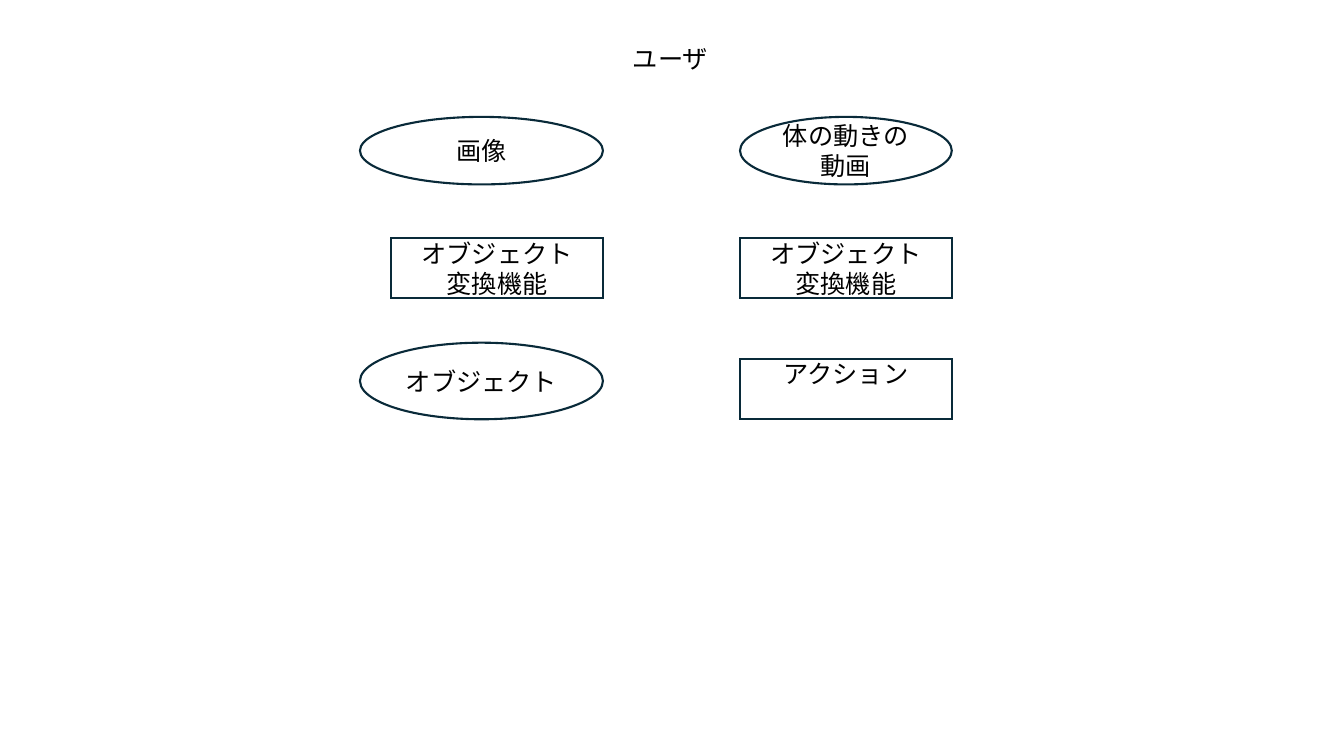
"""Build a slide of a user's image and motion video being converted into an object and an action."""
from lxml import etree
from pptx import Presentation, util as u
from pptx.dml.color import RGBColor
from pptx.enum import shapes, text
from pptx.oxml.ns import qn

BLACK = RGBColor(0x00, 0x00, 0x00)
WHITE = RGBColor(0xFF, 0xFF, 0xFF)
NAVY = RGBColor(0x09, 0x2A, 0x39)
FONT = "Noto Sans CJK JP"

OVAL = shapes.MSO_SHAPE.OVAL
RECT = shapes.MSO_SHAPE.RECTANGLE
MIDDLE = text.MSO_ANCHOR.MIDDLE
TOP = text.MSO_ANCHOR.TOP

LEFT_END, RIGHT_START = 5.98, 7.34
WIDE, NARROW = 2.41, 2.1
ROW_TOP, ROW_STEP = 1.16, 1.2
BOX_H, OVAL_H, OBJECT_H = 0.6, 0.67, 0.76
rows = [ROW_TOP + i * ROW_STEP for i in range(3)]
bottom = rows[2] + BOX_H


def write(tf, lines, align):
    for i, line in enumerate(lines):
        p = tf.paragraphs[0] if i == 0 else tf.add_paragraph()
        p.alignment = align
        r = p.add_run()
        r.text = line
        r.font.size = u.Pt(18)
        r.font.name = FONT
        r.font.color.rgb = BLACK
        etree.SubElement(r.font._element, qn("a:ea"), typeface=FONT)


prs = Presentation()
prs.slide_width, prs.slide_height = u.Inches(13.33), u.Inches(7.5)
s = prs.slides.add_slide(prs.slide_layouts[6])

user = s.shapes.add_textbox(u.Inches(6.18), u.Inches(0.38), u.Inches(0.96), u.Inches(0.4))
tf = user.text_frame
tf.word_wrap = False
tf.auto_size = text.MSO_AUTO_SIZE.SHAPE_TO_FIT_TEXT
write(tf, ["ユーザ"], text.PP_ALIGN.LEFT)

nodes = [
    (OVAL, LEFT_END - WIDE, rows[0], WIDE, OVAL_H, MIDDLE, ["画像"]),
    (OVAL, RIGHT_START, rows[0], NARROW, OVAL_H, MIDDLE, ["体の動きの動画"]),
    (RECT, LEFT_END - NARROW, rows[1], NARROW, BOX_H, MIDDLE, ["オブジェクト", "変換機能"]),
    (RECT, RIGHT_START, rows[1], NARROW, BOX_H, MIDDLE, ["オブジェクト", "変換機能"]),
    (OVAL, LEFT_END - WIDE, bottom - OBJECT_H, WIDE, OBJECT_H, MIDDLE, ["オブジェクト"]),
    (RECT, RIGHT_START, rows[2], NARROW, BOX_H, TOP, ["アクション"]),
]
for kind, x, y, w, h, anchor, lines in nodes:
    sp = s.shapes.add_shape(kind, u.Inches(x), u.Inches(y), u.Inches(w), u.Inches(h))
    sp.shadow.inherit = False
    sp.fill.solid()
    sp.fill.fore_color.rgb = WHITE
    sp.line.color.rgb = NAVY
    sp.line.width = u.Pt(1.5)
    ln = sp._element.spPr.find(qn("a:ln"))
    etree.SubElement(ln, qn("a:miter"), lim="800000")
    tf = sp.text_frame
    tf.word_wrap = True
    tf.vertical_anchor = anchor
    if anchor == TOP:
        tf.margin_top = 0
    write(tf, lines, text.PP_ALIGN.CENTER)

prs.save("out.pptx")
